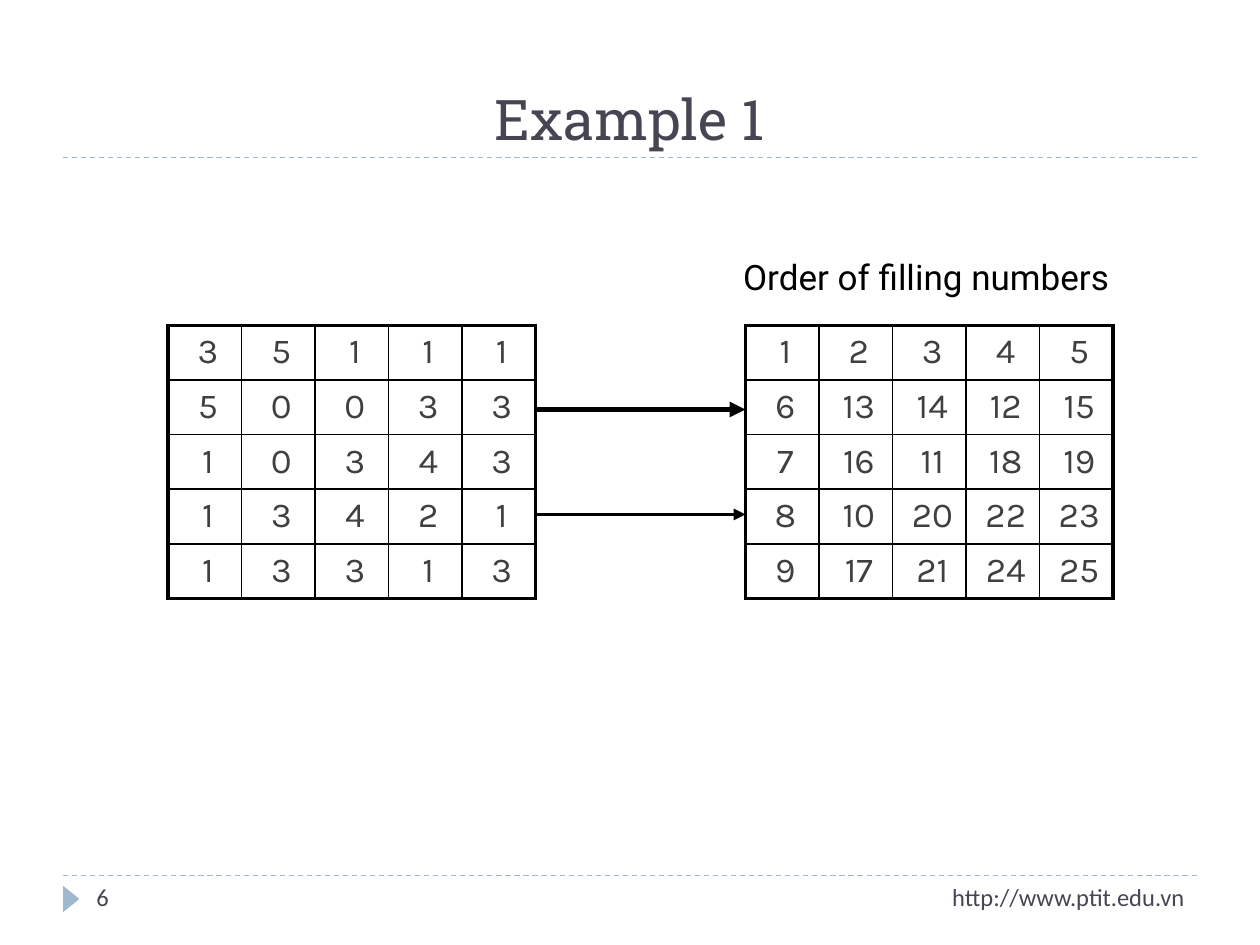
from dataclasses import dataclass
from typing import Any

from lxml import etree
from pptx import Presentation
from pptx.dml.color import RGBColor
from pptx.enum.dml import MSO_LINE
from pptx.enum.shapes import MSO_CONNECTOR, MSO_SHAPE
from pptx.enum.text import MSO_ANCHOR, PP_ALIGN
from pptx.oxml.ns import qn
from pptx.util import Inches, Pt

STRAIGHT, TRIANGLE = MSO_CONNECTOR.STRAIGHT, MSO_SHAPE.ISOSCELES_TRIANGLE
LEFT, CENTER, RIGHT = PP_ALIGN.LEFT, PP_ALIGN.CENTER, PP_ALIGN.RIGHT
TOP, BOTTOM = MSO_ANCHOR.TOP, MSO_ANCHOR.BOTTOM
DASH = MSO_LINE.DASH

# The slide is laid out on twelfths of an inch.
UNITS_PER_INCH = 12
SIZE = 5
COLUMN_UNITS, ROW_UNITS = 7, 5.2
MATRIX_TOP = 31
INPUT_LEFT, ORDER_LEFT = 16, 71
INPUT_RIGHT = INPUT_LEFT + SIZE * COLUMN_UNITS
MARGIN_LEFT, MARGIN_RIGHT = 6, 114
TITLE_RULE, FOOTER_RULE = 15, 83.4


@dataclass(frozen=True)
class TextStyle:
    font: str
    size: float
    color: str


@dataclass(frozen=True)
class Theme:
    ink: str = "000000"
    accent: str = "9FB8CD"
    rule_width: float = 0.75
    inner_border: float = 1
    outer_border: float = 2.25
    title: TextStyle = TextStyle("Roboto Slab", 32, "464653")
    footer: TextStyle = TextStyle("Calibri", 14, "464653")
    number: TextStyle = TextStyle("Karla", 20, "404040")
    caption: TextStyle = TextStyle("Roboto", 20, "000000")


@dataclass(frozen=True)
class Label:
    text: str
    left: float
    top: float
    width: float
    height: float
    style: TextStyle
    align: PP_ALIGN = LEFT
    anchor: MSO_ANCHOR = TOP
    wrap: bool = True


@dataclass(frozen=True)
class Line:
    left: float
    right: float
    top: float
    width: float
    color: str
    dashed: bool = False
    arrow: bool = False


@dataclass(frozen=True)
class Matrix:
    left: float
    rows: tuple[tuple[int, ...], ...]


THEME = Theme()

LABELS = (
    Label("Example 1", 6, 2, 108, 13, THEME.title, CENTER, BOTTOM),
    Label("http://www.ptit.edu.vn", 68, FOOTER_RULE, 46, 4.8, THEME.footer, RIGHT),
    Label("6", 8, FOOTER_RULE, 26, 4.8, THEME.footer),
    Label("Order of filling numbers", 69.6, 23.76, 37.68, 5.28, THEME.caption, wrap=False),
)
RULES = tuple(
    Line(MARGIN_LEFT, MARGIN_RIGHT, top, THEME.rule_width, THEME.accent, dashed=True)
    for top in (FOOTER_RULE, TITLE_RULE)
)
ARROWS = tuple(
    Line(INPUT_RIGHT, ORDER_LEFT, top, width, THEME.ink, arrow=True)
    for top, width in ((39, 3), (49, 2.25))
)
MATRICES = (
    Matrix(ORDER_LEFT, (
        (1, 2, 3, 4, 5),
        (6, 13, 14, 12, 15),
        (7, 16, 11, 18, 19),
        (8, 10, 20, 22, 23),
        (9, 17, 21, 24, 25),
    )),
    Matrix(INPUT_LEFT, (
        (3, 5, 1, 1, 1),
        (5, 0, 0, 3, 3),
        (1, 0, 3, 4, 3),
        (1, 3, 4, 2, 1),
        (1, 3, 3, 1, 3),
    )),
)


def units(count: float) -> int:
    return Inches(count / UNITS_PER_INCH)


def write(paragraph: Any, text: str, style: TextStyle, align: PP_ALIGN) -> None:
    paragraph.alignment = align
    run = paragraph.add_run()
    run.text = text
    for name, value in {"name": style.font, "size": Pt(style.size)}.items():
        setattr(run.font, name, value)
    run.font.color.rgb = RGBColor.from_string(style.color)


def add_label(slide: Any, label: Label) -> None:
    frame = slide.shapes.add_textbox(
        *map(units, (label.left, label.top, label.width, label.height))
    ).text_frame
    frame.word_wrap = label.wrap
    frame.vertical_anchor = label.anchor
    write(frame.paragraphs[0], label.text, label.style, label.align)


def add_line(slide: Any, line: Line) -> None:
    connector = slide.shapes.add_connector(
        STRAIGHT, *map(units, (line.left, line.top, line.right, line.top))
    )
    connector.line.width = Pt(line.width)
    connector.line.color.rgb = RGBColor.from_string(line.color)
    if line.dashed:
        connector.line.dash_style = DASH
    if line.arrow:
        etree.SubElement(connector.line._get_or_add_ln(), qn("a:tailEnd"), type="triangle")
    etree.SubElement(connector._element.spPr, qn("a:effectLst"))


def add_border(properties: Any, side: str, width: float) -> None:
    border = etree.SubElement(properties, qn(f"a:ln{side}"), w=str(Pt(width)))
    fill = etree.SubElement(border, qn("a:solidFill"))
    etree.SubElement(fill, qn("a:srgbClr"), val=THEME.ink)


def add_matrix(slide: Any, matrix: Matrix) -> None:
    """Draw a square number table with a heavy outline and thin inner borders."""
    table = slide.shapes.add_table(
        SIZE, SIZE, units(matrix.left), units(MATRIX_TOP),
        units(SIZE * COLUMN_UNITS), units(SIZE * ROW_UNITS),
    ).table
    table.first_row = table.horz_banding = False
    last = SIZE - 1
    for row, numbers in enumerate(matrix.rows):
        for column, number in enumerate(numbers):
            cell = table.cell(row, column)
            paragraph = cell.text_frame.paragraphs[0]
            write(paragraph, str(number), THEME.number, CENTER)
            paragraph._p.get_or_add_pPr().set("marL", str(Inches(0.05)))
            outer = {"L": column == 0, "R": column == last, "T": row == 0, "B": row == last}
            for side, is_outer in outer.items():
                width = THEME.outer_border if is_outer else THEME.inner_border
                add_border(cell._tc.get_or_add_tcPr(), side, width)
            cell.fill.background()


def add_page_marker(slide: Any) -> None:
    marker = slide.shapes.add_shape(
        TRIANGLE, Inches(0.46), Inches(7.07), Inches(0.21), Inches(0.13)
    )
    marker.rotation = 90
    marker.shadow.inherit = False
    marker.fill.solid()
    marker.fill.fore_color.rgb = RGBColor.from_string(THEME.accent)
    marker.line.fill.background()


def main() -> None:
    presentation = Presentation()
    presentation.slide_width, presentation.slide_height = Inches(10), Inches(7.5)
    slide = presentation.slides.add_slide(presentation.slide_layouts[6])
    for rule in RULES:
        add_line(slide, rule)
    add_page_marker(slide)
    for matrix in MATRICES:
        add_matrix(slide, matrix)
    for arrow in ARROWS:
        add_line(slide, arrow)
    for label in LABELS:
        add_label(slide, label)
    presentation.save("out.pptx")


if __name__ == "__main__":
    main()
